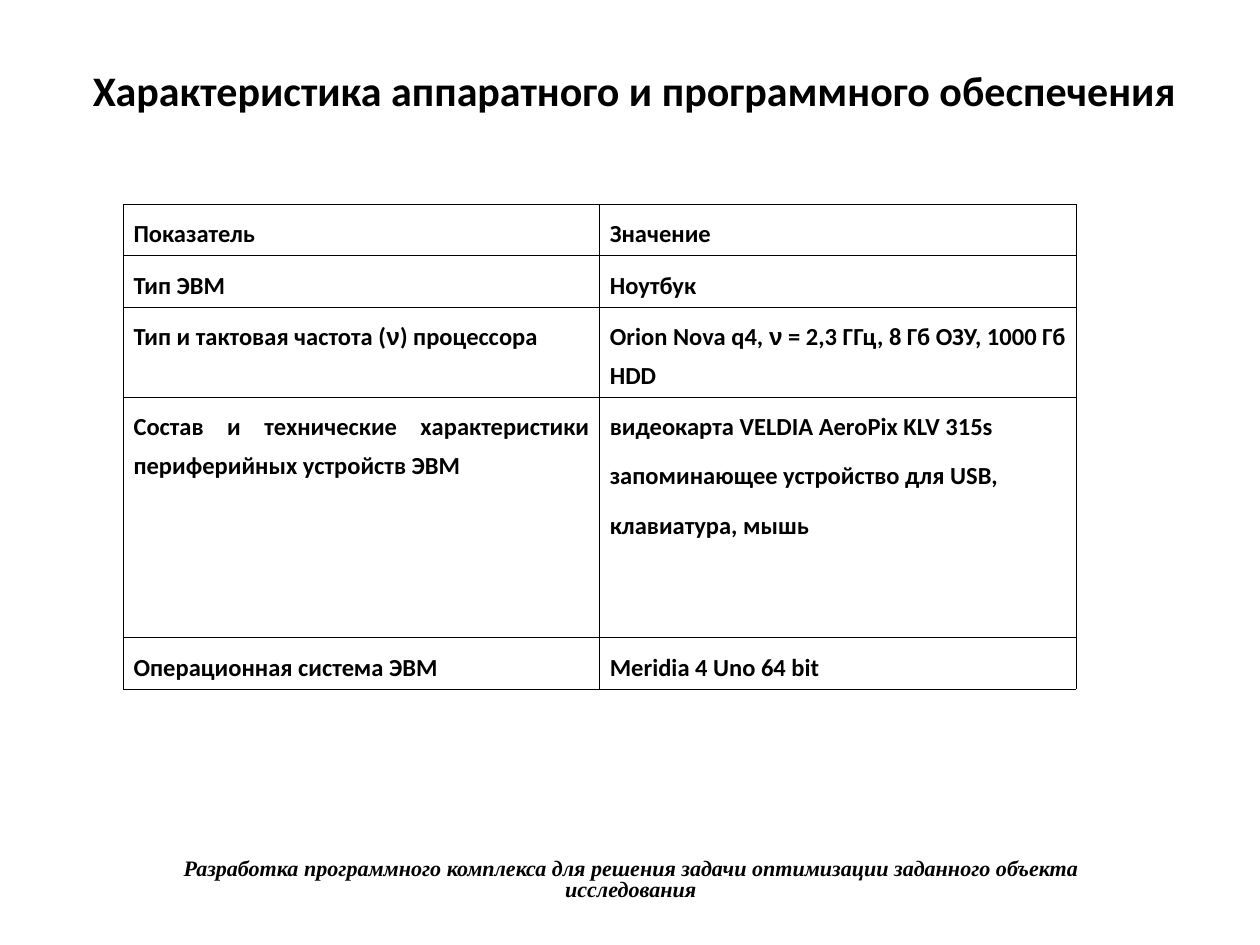
from dataclasses import dataclass

from lxml import etree
from pptx import Presentation
from pptx.dml.color import RGBColor
from pptx.enum.text import MSO_ANCHOR, MSO_AUTO_SIZE, PP_ALIGN
from pptx.oxml.ns import qn
from pptx.util import Inches, Pt

CENTER = PP_ALIGN.CENTER
JUSTIFY = PP_ALIGN.JUSTIFY
MIDDLE = MSO_ANCHOR.MIDDLE
TOP = MSO_ANCHOR.TOP
NO_AUTOFIT = MSO_AUTO_SIZE.NONE
TITLE_ONLY = 5


@dataclass(frozen=True)
class Theme:
    ink: str = "000000"
    body_font: str = "Calibri"
    symbol_font: str = "Arial"
    footer_font: str = "Times New Roman"
    title_size: float = 24
    table_size: float = 14
    footer_size: float = 12.6
    border_width: float = 0.45


THEME = Theme()

TITLE = "Характеристика аппаратного и программного обеспечения"
FOOTER = (
    "Разработка программного комплекса для решения задачи "
    "оптимизации заданного объекта исследования"
)
ROWS = [
    (0.32, ["Показатель"], ["Значение"]),
    (0.32, ["Тип ЭВМ"], ["Ноутбук"]),
    (
        0.67,
        ["Тип и тактовая частота (ν) процессора"],
        ["Orion Nova q4, ν = 2,3 ГГц, 8 Гб ОЗУ, 1000 Гб HDD"],
    ),
    (
        1.91,
        ["Состав и технические характеристики периферийных устройств ЭВМ"],
        [
            "видеокарта VELDIA AeroPix KLV 315s",
            "запоминающее устройство для USB,",
            "клавиатура, мышь",
        ],
    ),
    (0.32, ["Операционная система ЭВМ"], ["Meridia 4 Uno 64 bit"]),
]


def add_span(para, text, font, size, italic=False):
    span = para.add_run()
    span.text = text
    span.font.name = font
    span.font.size = Pt(size)
    span.font.bold = True
    span.font.italic = italic
    span.font.color.rgb = RGBColor.from_string(THEME.ink)


def place(shape, box):
    shape.left, shape.top, shape.width, shape.height = map(Inches, box)


def set_frame(frame):
    frame.word_wrap = True
    frame.auto_size = NO_AUTOFIT
    frame.vertical_anchor = MIDDLE
    frame.margin_left = frame.margin_right = Inches(0.1)
    frame.margin_top = frame.margin_bottom = Inches(0.05)


def fill_title(page, box):
    title = page.shapes.title
    place(title, box)
    set_frame(title.text_frame)
    para = title.text_frame.paragraphs[0]
    para.alignment = CENTER
    add_span(para, TITLE, THEME.body_font, THEME.title_size)


def add_footer(page, box):
    footer = page.shapes.add_textbox(*map(Inches, box))
    set_frame(footer.text_frame)
    para = footer.text_frame.paragraphs[0]
    para.alignment = CENTER
    para.line_spacing = 0.8
    add_span(para, FOOTER, THEME.footer_font, THEME.footer_size, italic=True)


def set_borders(cell):
    properties = cell._tc.get_or_add_tcPr()
    for index, side in enumerate(("lnL", "lnR", "lnT", "lnB")):
        line = etree.Element(qn(f"a:{side}"), w=str(Pt(THEME.border_width)))
        fill = etree.SubElement(line, qn("a:solidFill"))
        etree.SubElement(fill, qn("a:srgbClr"), val=THEME.ink)
        properties.insert(index, line)


def fill_cell(cell, lines):
    cell.fill.background()
    cell.margin_left = cell.margin_right = Inches(0.08)
    cell.margin_top = cell.margin_bottom = Inches(0.05)
    cell.vertical_anchor = TOP
    set_borders(cell)
    frame = cell.text_frame
    for index, line in enumerate(lines):
        para = frame.add_paragraph() if index else frame.paragraphs[0]
        para.alignment = JUSTIFY
        para.line_spacing = 1.3
        para.space_after = Pt(6)
        before, symbol, after = line.partition("ν")
        for text, font in (
            (before, THEME.body_font),
            (symbol, THEME.symbol_font),
            (after, THEME.body_font),
        ):
            if text:
                add_span(para, text, font, THEME.table_size)


def add_specification_table(page, box):
    table = page.shapes.add_table(len(ROWS), 2, *map(Inches, box)).table
    table.first_row = False
    table.horz_banding = False
    for column in table.columns:
        column.width = Inches(box[2] / 2)
    for row, (height, *cells) in zip(table.rows, ROWS):
        row.height = Inches(height)
        for cell, lines in zip(row.cells, cells):
            fill_cell(cell, lines)


def main():
    deck = Presentation()
    deck.slide_width = Inches(10)
    deck.slide_height = Inches(7.5)
    page = deck.slides.add_slide(deck.slide_layouts[TITLE_ONLY])
    fill_title(page, (0.43, 0.36, 9.21, 0.7))
    add_specification_table(page, (0.98, 1.62, 7.56, 3.54))
    add_footer(page, (0.83, 6.72, 8.35, 0.54))
    deck.save("out.pptx")


if __name__ == "__main__":
    main()
